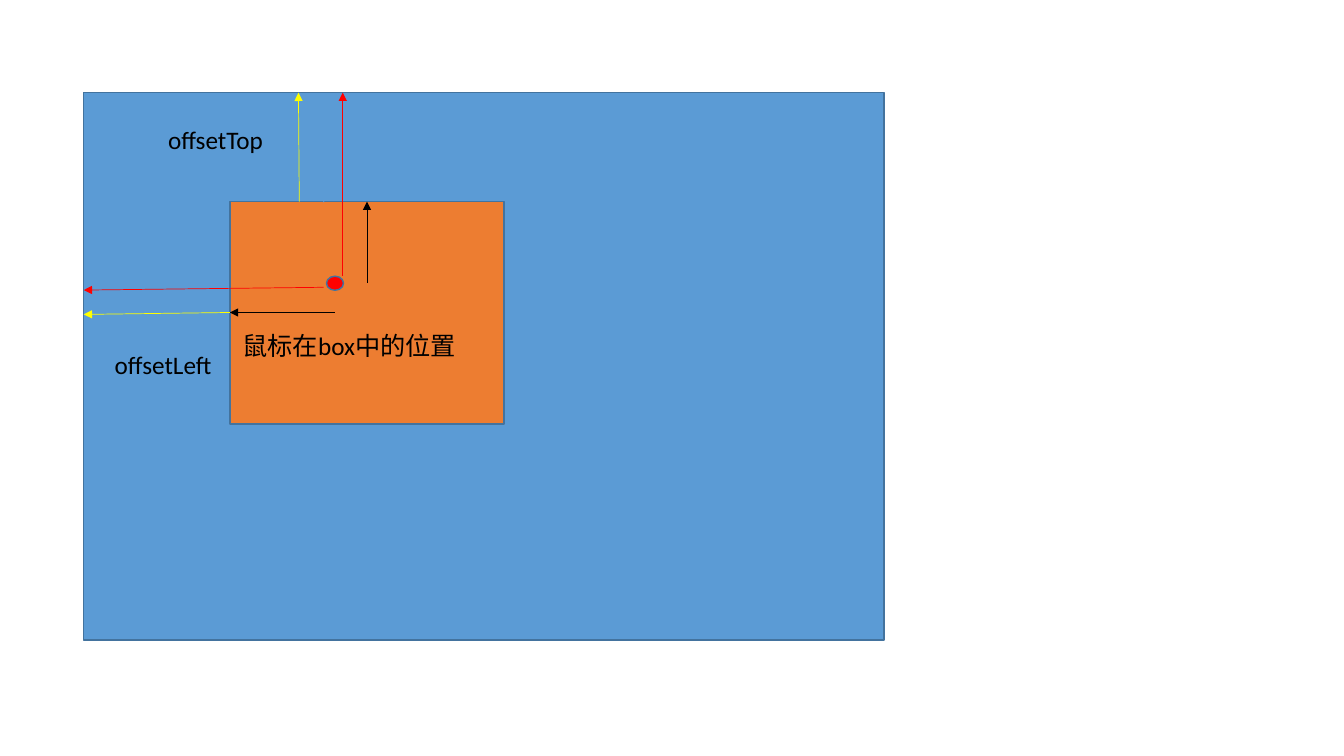
from collections import namedtuple

from lxml.etree import SubElement
from pptx import Presentation
from pptx.dml.color import RGBColor
from pptx.enum.shapes import MSO_CONNECTOR, MSO_SHAPE
from pptx.oxml.ns import qn
from pptx.util import Pt

BLUE = RGBColor(0x5B, 0x9B, 0xD5)
ORANGE = RGBColor(0xED, 0x7D, 0x31)
OUTLINE = RGBColor(0x43, 0x73, 0x9E)
RED = RGBColor(0xFF, 0x00, 0x00)
YELLOW = RGBColor(0xFF, 0xFF, 0x00)
BLACK = RGBColor(0x00, 0x00, 0x00)

Box = namedtuple("Box", "left top width height")


def inside(box, left, top, width, height):
    return Box(box.left + left, box.top + top, width, height)


def add_filled(page, kind, box, color):
    shape = page.shapes.add_shape(kind, *map(Pt, box))
    shape.shadow.inherit = False
    shape.fill.solid()
    shape.fill.fore_color.rgb = color
    shape.line.color.rgb = OUTLINE
    shape.line.width = Pt(1)


def add_arrow(page, box, start, end, color):
    arrow = page.shapes.add_connector(
        MSO_CONNECTOR.STRAIGHT,
        Pt(box.left + start[0]), Pt(box.top + start[1]),
        Pt(box.left + end[0]), Pt(box.top + end[1]),
    )
    arrow.line.color.rgb = color
    arrow.line.width = Pt(0.5)
    SubElement(arrow.line._get_or_add_ln(), qn("a:tailEnd"), type="triangle")
    SubElement(arrow._element.spPr, qn("a:effectLst"))


def add_label(page, box, text):
    label = page.shapes.add_textbox(*map(Pt, box))
    label.text_frame.word_wrap = True
    para = label.text_frame.paragraphs[0]
    para.text = text
    para.font.name = "Calibri"
    para.font.size = Pt(18)
    para.font.color.rgb = BLACK


def draw_inner_box(page, box):
    add_filled(page, MSO_SHAPE.RECTANGLE, box, ORANGE)
    add_filled(page, MSO_SHAPE.OVAL, inside(box, 69, 53.3, 12.2, 10.1), RED)
    add_arrow(page, box, (67, 0), (67, 0.7), BLUE)
    add_arrow(page, box, (75, 79.2), (0, 79.2), BLACK)
    add_arrow(page, box, (98, 58.3), (98, 0), BLACK)
    add_label(page, inside(box, 2, 88.6, 168.5, 29), "鼠标在box中的位置")


def draw_document_area(page, box):
    add_filled(page, MSO_SHAPE.RECTANGLE, box, BLUE)
    draw_inner_box(page, inside(box, 104.4, 77.8, 196, 159))
    add_arrow(page, box, (171.4, 139), (0, 141), RED)
    add_arrow(page, box, (185, 131), (185, 0), RED)
    add_arrow(page, box, (104.4, 157), (0, 158.4), YELLOW)
    add_arrow(page, box, (154, 77.8), (153.4, 0), YELLOW)
    add_label(page, inside(box, 15, 180, 89.4, 29), "offsetLeft")
    add_label(page, inside(box, 53.2, 18.8, 100, 29), "offsetTop")


def main():
    deck = Presentation()
    deck.slide_width = Pt(960)
    deck.slide_height = Pt(540)
    page = deck.slides.add_slide(deck.slide_layouts[6])
    draw_document_area(page, Box(59.8, 66.2, 571.7, 391))
    deck.save("out.pptx")


if __name__ == "__main__":
    main()
